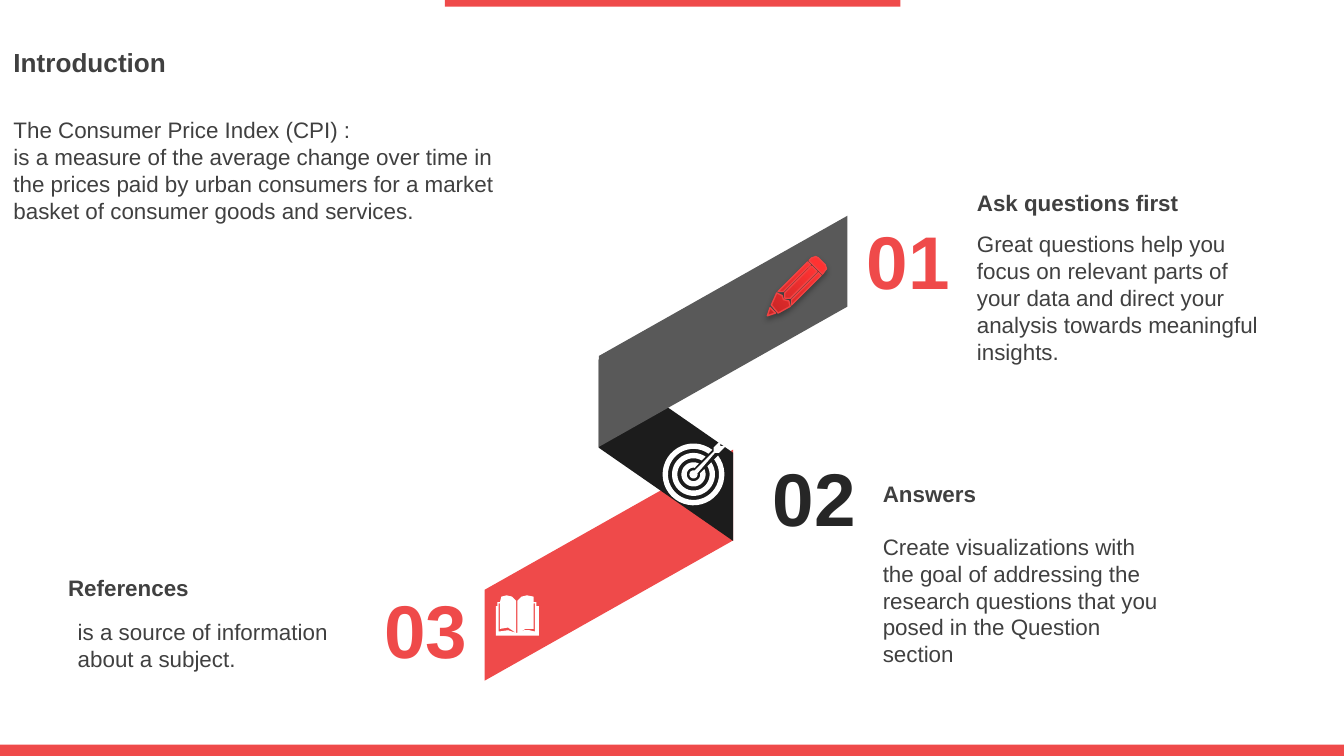
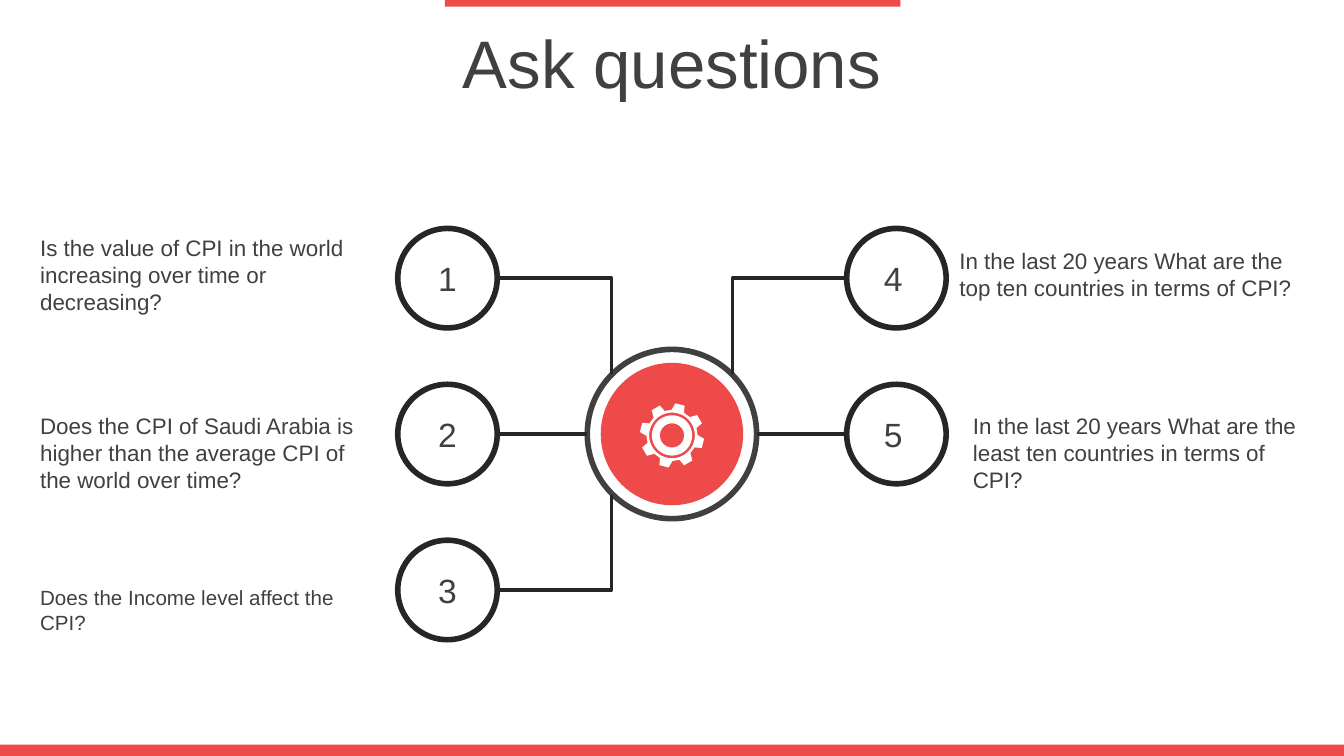
"""Builds two slides on the Consumer Price Index: an introduction and its questions."""
from dataclasses import dataclass
from math import cos, degrees, radians, sin

from lxml import etree
from pptx import Presentation
from pptx.dml.color import RGBColor
from pptx.enum.shapes import MSO_CONNECTOR, MSO_SHAPE
from pptx.enum.text import MSO_ANCHOR, MSO_AUTO_SIZE, PP_ALIGN
from pptx.oxml.ns import qn
from pptx.util import Pt

RECT, OVAL, SLANT = MSO_SHAPE.RECTANGLE, MSO_SHAPE.OVAL, MSO_SHAPE.PARALLELOGRAM
LINE, ELBOW = MSO_CONNECTOR.STRAIGHT, MSO_CONNECTOR.ELBOW
LEFT, MID, RIGHT = PP_ALIGN.LEFT, PP_ALIGN.CENTER, PP_ALIGN.RIGHT
PX = 9144


@dataclass(frozen=True)
class Theme:
    font: str = "Arial"
    red: str = "EF4A4A"
    gray: str = "595959"
    dark: str = "1C1C1C"
    ink: str = "262626"
    text: str = "404040"
    white: str = "FFFFFF"
    rim: str = "EE4444"
    shade: str = "C52525"
    glow: str = "FF3232"
    small: int = 11
    body: int = 12
    head: int = 14
    num: int = 18
    title: int = 36
    big: int = 40


T = Theme()
SIZE = (1000, 562.5)
BANDS = [(331, 0, 339, 5), (0, 554, 1000, 9)]

INTRO = "Introduction"
ABOUT = [
    "The Consumer Price Index (CPI) :",
    "is a measure of the average change over time in the prices paid by urban "
    "consumers for a market basket of consumer goods and services.",
]
RIBBON = [
    ((367, 328, 172, 185), 270, ["flipH"], 0.607, T.red),
    ((428, 285, 135, 100), 90, ["flipH", "flipV"], 0.694, T.dark),
    ((452, 154, 172, 185), 270, ["flipH"], 0.607, T.gray),
]
STEPS = [
    ("01", (635, 155), T.red, "Ask questions first", (717, 136, 235, 30), LEFT,
     "Great questions help you focus on relevant parts of your data and direct "
     "your analysis towards meaningful insights.", (717, 166, 235, 111)),
    ("02", (565, 331), T.ink, "Answers", (647, 352, 235, 30), LEFT,
     "Create visualizations with the goal of addressing the research questions "
     "that you posed in the Question section", (647, 391, 235, 111)),
    ("03", (276, 429), T.red, "References ", (0, 422, 155, 30), RIGHT,
     "is a source of information about a subject.", (48, 455, 235, 50)),
]

ASK = "Ask questions"
NODES = [
    ("1", 0, -1, "Is the value of CPI in the world increasing over time or "
     "decreasing?", (20, 169, 268, 71), T.body),
    ("2", 1, -1, "Does the CPI of Saudi Arabia is higher than the average CPI "
     "of the world over time?", (20, 301, 268, 71), T.body),
    ("3", 2, -1, "Does the Income level affect the CPI?",
     (20, 439, 268, 29), T.small),
    (" 4", 0, 1, "In the last 20 years What are the top ten countries in "
     "terms of CPI?", (704, 179, 268, 50), T.body),
    (" 5", 1, 1, "In the last 20 years What are the least ten countries in "
     "terms of CPI?", (714, 301, 268, 71), T.body),
]
HUB, REACH, DISC, NODE = (500, 323), 63, 53, 37
STEP, DIAG = 116, 45

BOOK = [[
    (384, 471), (385, 471), (390, 469), (394, 469), (398, 470), (398, 449),
    (397, 449), (397, 468), (391, 468), (385, 471), (385, 447), (388, 444),
    (392, 443), (397, 444), (397, 448), (399, 448), (399, 451), (401, 451),
    (401, 473), (369, 473), (369, 451), (370, 451), (370, 448), (372, 448),
    (373, 444), (377, 443), (381, 444), (384, 447), (384, 471), (378, 467),
    (372, 468), (372, 449), (371, 449), (371, 470), (378, 469),
]]
PENCIL = [
    [(573, 229), (577, 233), (571, 235)],
    [(578, 218), (582, 220), (583, 223), (587, 224), (588, 228), (579, 233),
     (574, 227)],
    [(609, 203), (611, 205), (589, 227), (589, 223)],
    [(604, 198), (608, 202), (588, 222), (584, 222), (584, 218)],
    [(601, 195), (603, 197), (583, 217), (579, 217)],
    [(607, 191), (609, 192), (614, 197), (615, 200), (612, 204), (602, 194),
     (604, 192)],
]
AIM, RINGS = (516, 353), [(23, 19), (16, 12), (9, 5)]
HEAD = [(531, 336), (531, 333), (536, 328), (536, 332), (540, 332),
        (535, 337), (532, 337)]
COG = (500, 324)
TOOTH = [(19, -1), (24, 6), (24, 23), (19, 28)]


def emu(*nums):
    return [int(round(n * PX)) for n in nums]


def tint(code):
    return RGBColor.from_string(code)


def paint(shape, fill, edge=None, width=3):
    shape.shadow.inherit = False
    shape.fill.solid()
    shape.fill.fore_color.rgb = tint(fill)
    if edge:
        shape.line.color.rgb = tint(edge)
        shape.line.width = Pt(width)
    else:
        shape.line.fill.background()
    return shape


def draw(slide, kind, at, fill, edge=None):
    return paint(slide.shapes.add_shape(kind, *emu(*at)), fill, edge)


def disc(slide, mid, r, fill, edge=None):
    return draw(slide, OVAL, (mid[0] - r, mid[1] - r, 2 * r, 2 * r), fill, edge)


def write(shape, text, size=T.body, color=T.text, bold=False, align=LEFT,
          wrap=True):
    frame = shape.text_frame
    frame.auto_size = MSO_AUTO_SIZE.NONE
    frame.word_wrap = wrap
    frame.vertical_anchor = MSO_ANCHOR.MIDDLE
    for i, part in enumerate([text] if isinstance(text, str) else text):
        para = frame.add_paragraph() if i else frame.paragraphs[0]
        para.alignment = align
        para.space_before = Pt(0)
        run = para.add_run()
        run.text = part
        font = run.font
        font.name, font.size, font.bold = T.font, Pt(size), bold
        font.color.rgb = tint(color)
    return shape


def label(slide, at, text, **fmt):
    return write(slide.shapes.add_textbox(*emu(*at)), text, **fmt)


def place(shape, at, text, **fmt):
    shape.left, shape.top, shape.width, shape.height = emu(*at)
    return write(shape, text, **fmt)


def plain(shape):
    for para in shape.text_frame.paragraphs:
        prop = para._p.get_or_add_pPr()
        prop.set("marL", "0")
        prop.set("indent", "0")
        etree.SubElement(prop, qn("a:buNone"))


def polar(mid, r, deg):
    return mid[0] + r * cos(radians(deg)), mid[1] + r * sin(radians(deg))


def arc(mid, r, start=0, span=360, count=40):
    return [polar(mid, r, start + span * i / count) for i in range(count + 1)]


def split(r):
    gap = degrees(3 / r)
    return arc(AIM, r, gap - 45, 360 - 2 * gap)


def trace(slide, paths, fill):
    pen = None
    for path in paths:
        first, *rest = [emu(*spot) for spot in path]
        if pen:
            pen.move_to(*first)
        else:
            pen = slide.shapes.build_freeform(*first)
        pen.add_line_segments(rest, close=True)
    return paint(pen.convert_to_shape(), fill)


def target(slide):
    rings = [split(out) + split(hole)[::-1] for out, hole in RINGS]
    trace(slide, rings + [HEAD + arc(AIM, 3, -15, 300)], T.white)


def pencil(slide):
    shape = paint(trace(slide, PENCIL, T.glow), T.glow, T.rim, 0.75)
    shape.fill.gradient()
    shape.fill.gradient_angle = 45
    stops = shape.fill.gradient_stops
    for stop, code, pos in zip(stops, (T.shade, T.glow), (0, 0.8)):
        stop.color.rgb = tint(code)
        stop.position = pos
    glow = etree.SubElement(
        shape.element.spPr.find(qn("a:effectLst")), qn("a:outerShdw"),
        blurRad=str(Pt(3.1)), dist=str(Pt(1.8)), dir="5400000")
    black = etree.SubElement(glow, qn("a:srgbClr"), val="000000")
    etree.SubElement(black, qn("a:alpha"), val="35000")


def gear(slide):
    rim = [polar(COG, r, 45 * k + deg - 90) for k in range(8) for r, deg in TOOTH]
    trace(slide, [rim] + [arc(COG, r) for r in (17, 15, 9)], T.white)


def link(slide, start, end):
    flat = start[1] == end[1]
    wire = slide.shapes.add_connector(LINE if flat else ELBOW, *emu(*start, *end))
    wire.line.color.rgb = tint(T.ink)
    wire.line.width = Pt(2)
    prop = wire.element.spPr
    if not flat:
        prop.find(qn("a:prstGeom")).set("prst", "bentConnector2")
    etree.SubElement(prop, qn("a:effectLst"))


def intro(slide):
    title, body = slide.placeholders
    place(title, (0, 29, 383, 34), INTRO, size=T.head, bold=True)
    plain(place(body, (0, 81, 383, 91), ABOUT))
    for at, turn, flips, slant, fill in RIBBON:
        strip = draw(slide, SLANT, at, fill)
        strip.rotation = turn
        strip.adjustments[0] = slant
        for flip in flips:
            strip.element.spPr.find(qn("a:xfrm")).set(flip, "1")
    for num, spot, color, head, top, side, text, at in STEPS:
        label(slide, (*spot, 83, 77), num, size=T.big, color=color, bold=True,
              wrap=False)
        label(slide, top, head, bold=True, align=side)
        label(slide, at, text)
    trace(slide, BOOK, T.white)
    pencil(slide)
    target(slide)


def ask(slide):
    place(slide.shapes.title, (0, 14, 1000, 63), ASK, size=T.title, align=MID)
    disc(slide, HUB, REACH, T.white, T.text)
    disc(slide, HUB, DISC, T.red)
    for num, row, side, text, at, size in NODES:
        x, y = HUB[0] + side * 167, HUB[1] + (row - 1) * STEP
        node = disc(slide, (x, y), NODE, T.white, T.ink)
        write(node, num, size=T.num, align=MID if side < 0 else LEFT)
        label(slide, at, text, size=size)
        reach = REACH if row == 1 else DIAG
        end = HUB[0] + side * reach, HUB[1] + (row - 1) * DIAG
        link(slide, (x - side * NODE, y), end)
    gear(slide)


def main():
    deck = Presentation()
    deck.slide_width, deck.slide_height = emu(*SIZE)
    first = deck.slides.add_slide(deck.slide_layouts[1])
    for at in BANDS:
        band = draw(first, RECT, at, T.red)
        deck.slide_master.shapes.element.append(band.element)
    intro(first)
    ask(deck.slides.add_slide(deck.slide_layouts[5]))
    deck.save("out.pptx")


if __name__ == "__main__":
    main()
